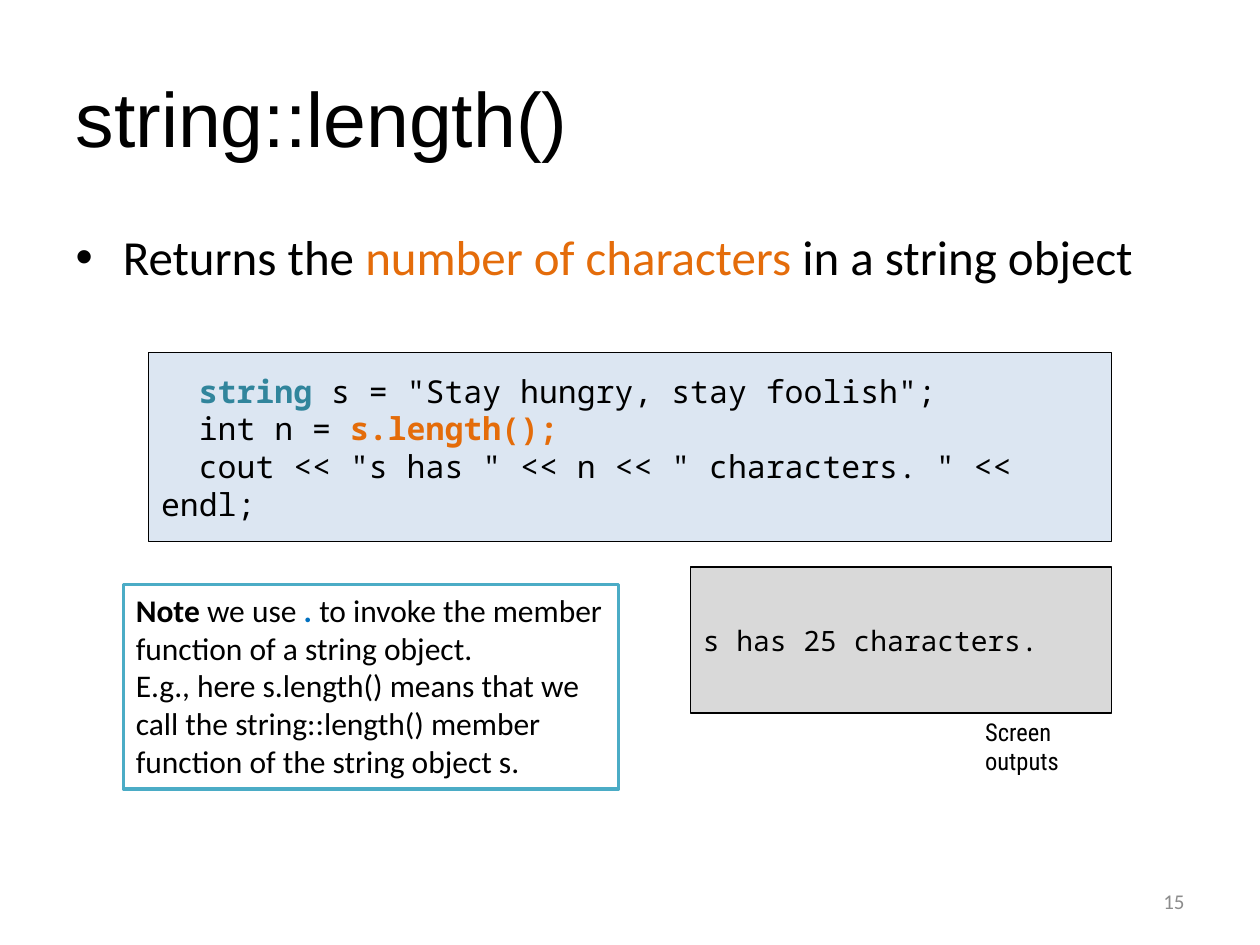
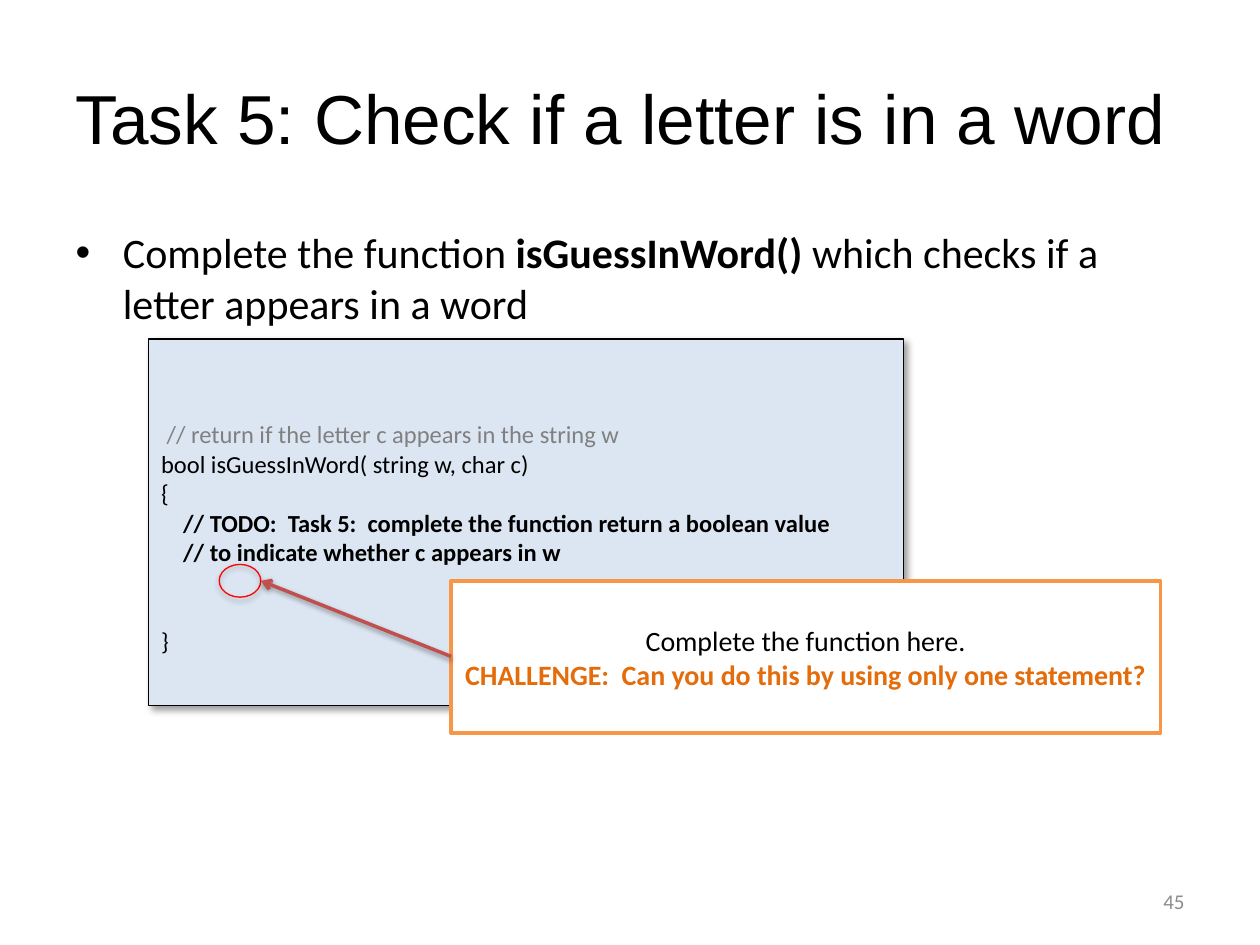
from dataclasses import dataclass
from lxml.etree import SubElement
from pptx import Presentation
from pptx.dml.color import RGBColor
from pptx.enum.shapes import MSO_CONNECTOR, MSO_SHAPE
from pptx.enum.text import MSO_ANCHOR, PP_ALIGN
from pptx.oxml.ns import qn
from pptx.util import Emu, Pt

PX = 9144


@dataclass(frozen=True)
class Theme:
    ink: str = "000000"
    paper: str = "FFFFFF"
    accent: str = "E46C0A"
    keyword: str = "31859C"
    dot: str = "0070C0"
    comment: str = "808080"
    page_number: str = "8C8C8C"
    code_fill: str = "DCE6F2"
    output_fill: str = "D9D9D9"
    note_line: str = "4BACC6"
    task_line: str = "F79646"
    arrow: str = "C0504D"
    marker: str = "FF0000"
    heading: str = "Arial"
    text: str = "Calibri"
    code: str = "Noto Sans Mono"
    label: str = "Roboto Condensed"
    title_size: float = 44
    long_title_size: float = 39.6
    body_size: int = 28
    long_body_size: int = 24
    large: int = 18
    medium: int = 16
    small: int = 14
    number_size: int = 12
    thin: float = 0.75
    thick: float = 2


@dataclass(frozen=True)
class Shadow:
    opacity: int
    blur: float
    distance: float
    angle: int


class SlideBuilder:
    def __init__(self, theme):
        self.theme = theme
        self.deck = Presentation()
        self.deck.slide_width = Emu(1000 * PX)
        self.deck.slide_height = Emu(750 * PX)
        self.page = None

    def place(self, *lengths):
        return [Emu(length * PX) for length in lengths]

    def move(self, shape, *area):
        shape.left, shape.top, shape.width, shape.height = self.place(*area)

    def set_text(self, frame, lines, size, font=None, color=None,
                 align=PP_ALIGN.LEFT, anchor=MSO_ANCHOR.MIDDLE, tab=None):
        frame.word_wrap = True
        frame.vertical_anchor = anchor
        for index, spans in enumerate(lines):
            para = frame.add_paragraph() if index else frame.paragraphs[0]
            para.alignment = align
            if tab:
                tabs = SubElement(para._p.get_or_add_pPr(), qn("a:tabLst"))
                SubElement(tabs, qn("a:tab"), pos=str(tab * PX), algn="l")
            para.font.size = Pt(size)
            para.font.name = font or self.theme.text
            para.font.color.rgb = RGBColor.from_string(color or self.theme.ink)
            for text, *style in spans:
                span = para.add_run()
                span.text = text
                for value in style:
                    if value == "bold":
                        span.font.bold = True
                    else:
                        span.font.color.rgb = RGBColor.from_string(value)
        frame.paragraphs[0].space_before = Pt(0)

    def start(self, title, title_size, bullet, bullet_size, number):
        self.page = self.deck.slides.add_slide(self.deck.slide_layouts[1])
        heading, body = self.page.placeholders
        self.move(heading, 50, 30, 900, 125)
        self.set_text(heading.text_frame, [[(title,)]], title_size, self.theme.heading)
        self.move(body, 50, 175, 900, 495)
        self.set_text(body.text_frame, [bullet], bullet_size, anchor=MSO_ANCHOR.TOP)
        self.text((717, 695, 233, 40), [[(number,)]], self.theme.number_size,
                  color=self.theme.page_number, align=PP_ALIGN.RIGHT)

    def text(self, area, lines, size, **style):
        box = self.page.shapes.add_textbox(*self.place(*area))
        self.set_text(box.text_frame, lines, size, **style)

    def cast(self, properties, shadow):
        effects = properties.find(qn("a:effectLst"))
        if effects is None:
            effects = SubElement(properties, qn("a:effectLst"))
        if shadow:
            outer = SubElement(
                effects, qn("a:outerShdw"), blurRad=str(Pt(shadow.blur)),
                dist=str(Pt(shadow.distance)), dir=str(shadow.angle * 60000),
                algn="tl", rotWithShape="0")
            tint = SubElement(outer, qn("a:srgbClr"), val=self.theme.ink)
            SubElement(tint, qn("a:alpha"), val=str(shadow.opacity * 1000))

    def stroke(self, line, color, width):
        line.color.rgb = RGBColor.from_string(color)
        line.width = Pt(width)

    def box(self, area, fill, line, width, kind=MSO_SHAPE.RECTANGLE, shadow=None):
        box = self.page.shapes.add_shape(kind, *self.place(*area))
        if fill:
            box.fill.solid()
            box.fill.fore_color.rgb = RGBColor.from_string(fill)
        else:
            box.fill.background()
        self.stroke(box.line, line, width)
        box.shadow.inherit = False
        self.cast(box._element.spPr, shadow)
        return box.text_frame

    def arrow(self, tip, tail, color, shadow):
        arrow = self.page.shapes.add_connector(
            MSO_CONNECTOR.STRAIGHT, *self.place(*tip, *tail))
        self.stroke(arrow.line, color, self.theme.thick)
        properties = arrow._element.spPr
        SubElement(properties.find(qn("a:ln")), qn("a:headEnd"), type="arrow")
        self.cast(properties, shadow)


def build_length_slide(slides):
    theme = slides.theme
    slides.start(
        "string::length()", theme.title_size,
        [("Returns the ",), ("number of characters ", theme.accent),
         ("in a string object",)],
        theme.body_size, "15")
    code = slides.box((118, 280, 764, 150), theme.code_fill, theme.ink, theme.thin)
    slides.set_text(code, [
        [("\t",), ("string", theme.keyword, "bold"),
         (' s = "Stay hungry, stay foolish";',)],
        [("\tint n = ",), ("s.length();", theme.accent, "bold")],
        [('\tcout << "s has " << n << " characters. " << endl;',)],
    ], theme.large, theme.code, tab=30)
    output = slides.box((548, 450, 334, 116), theme.output_fill, theme.ink, theme.thin)
    slides.set_text(output, [[("s has 25 characters.",)]], theme.medium, theme.code)
    slides.text((772, 564, 123, 34), [[("Screen outputs",)]], theme.small,
                font=theme.label, anchor=MSO_ANCHOR.TOP)
    note = slides.box((98, 464, 393, 162), theme.paper, theme.note_line, theme.thick)
    slides.set_text(note, [
        [("Note", "bold"), (" we use ",), (". ", theme.dot, "bold"),
         ("to invoke the member function of a string object.",)],
        [("E.g., here s.length() means that we call the string::length() "
          "member function of the string object s.",)],
    ], theme.large, anchor=MSO_ANCHOR.TOP)


def build_task_slide(slides):
    theme = slides.theme
    slides.start(
        "Task 5: Check if a letter is in a word", theme.long_title_size,
        [("Complete the function ",), ("isGuessInWord() ", "bold"),
         ("which checks if a letter appears in a word",)],
        theme.long_body_size, "45")
    code = slides.box((118, 269, 599, 291), theme.code_fill, theme.ink,
                      theme.thin, shadow=Shadow(40, 4, 3, 45))
    slides.set_text(code, [
        [(" // return if the letter c appears in the string w", theme.comment)],
        [("bool isGuessInWord( string w, char c)",)],
        [("{",)],
        [("    // TODO:  Task 5:  complete the function return a boolean value", "bold")],
        [("    // to indicate whether c appears in w", "bold")],
        [("}",)],
    ], theme.small)
    code.margin_top = Emu(29 * PX)
    code.paragraphs[-1].space_before = Pt(34)
    slides.box((174, 448, 33, 26), None, theme.marker, theme.thin,
               MSO_SHAPE.OVAL, Shadow(35, 3.1, 1.8, 90))
    challenge = slides.box((358, 461, 563, 121), theme.paper, theme.task_line, theme.thick)
    slides.set_text(challenge, [
        [("Complete the function here.",)],
        [("CHALLENGE:  Can you do this by using only one statement?",
          theme.accent, "bold")],
    ], theme.medium, align=PP_ALIGN.CENTER)
    slides.arrow((207, 461), (358, 521), theme.arrow, Shadow(38, 3.1, 1.6, 90))


def main():
    slides = SlideBuilder(Theme())
    build_length_slide(slides)
    build_task_slide(slides)
    slides.deck.save("out.pptx")


if __name__ == "__main__":
    main()
